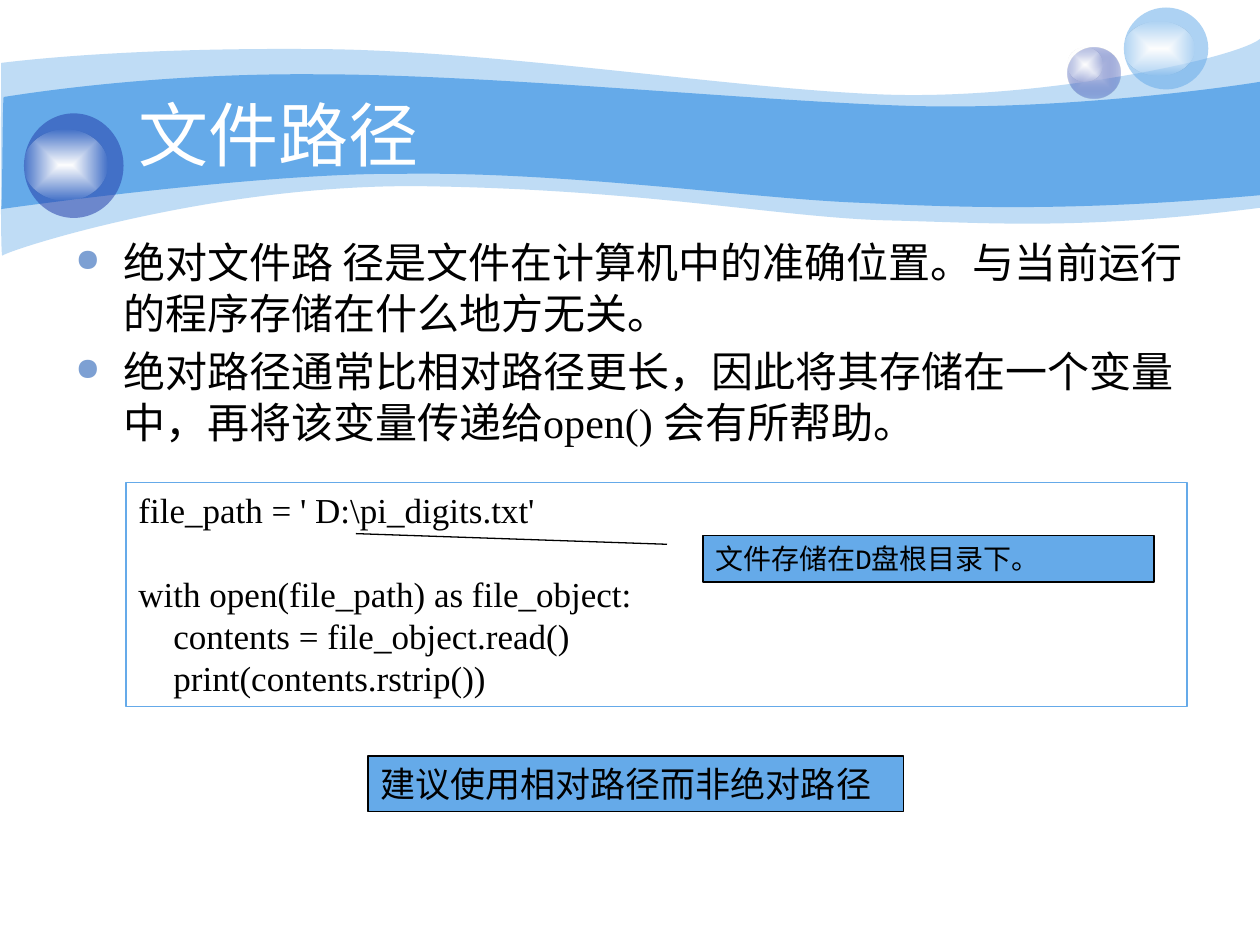
from lxml import etree
from pptx import Presentation
from pptx.dml.color import RGBColor
from pptx.enum.shapes import MSO_SHAPE
from pptx.enum.text import MSO_ANCHOR, MSO_AUTO_SIZE, PP_ALIGN
from pptx.oxml.ns import qn
from pptx.util import Inches, Pt

OVAL, RECT, CALLOUT = MSO_SHAPE.OVAL, MSO_SHAPE.RECTANGLE, MSO_SHAPE.LINE_CALLOUT_1
LEFT, TOP, MIDDLE = PP_ALIGN.LEFT, MSO_ANCHOR.TOP, MSO_ANCHOR.MIDDLE
GROW, FIXED = MSO_AUTO_SIZE.SHAPE_TO_FIT_TEXT, MSO_AUTO_SIZE.NONE
SKY = RGBColor(0x65, 0xAA, 0xE9)
NAVY = RGBColor(0x23, 0x3D, 0xA9)
LILAC = RGBColor(0xC7, 0xCE, 0xE9)
WHITE = RGBColor(0xFF, 0xFF, 0xFF)
BLACK = RGBColor(0, 0, 0)
BULLET = RGBColor(0x7D, 0xA0, 0xD3)
SERIF, MONO = "Times New Roman", "Courier New"

TITLE = "文件路径"
POINTS = [
    "绝对文件路 径是文件在计算机中的准确位置。与当前运行的程序存储在什么地方无关。",
    "绝对路径通常比相对路径更长，因此将其存储在一个变量中，再将该变量传递给open() 会有所帮助。",
]
CODE = [
    "file_path = ' D:\\pi_digits.txt'",
    "with open(file_path) as file_object:",
    "    contents = file_object.read()",
    "    print(contents.rstrip())",
]
CODE_BLOCK_START = 1
NOTE = "文件存储在D盘根目录下。"
ADVICE = "建议使用相对路径而非绝对路径"

WAVES = [
    (41,
     [(0.01, 0.5), (0.25, 0.47), (1.09, 0.38), (2.47, 0.39), (3.86, 0.39), (5.76, 0.7),
      (6.99, 0.75), (8.22, 0.8), (9.8, 0.47), (10, 0.31)],
     [(10, 1.65), (8.58, 1.83), (7.88, 1.77), (7.05, 1.75), (6.22, 1.73), (5.16, 1.51),
      (3.44, 1.48), (1.73, 1.44), (0.05, 1.99), (0.02, 2.03), (0, 2.08), (0.01, 0.75),
      (0.01, 0.5)]),
    (100,
     [(0.03, 0.77), (0.05, 0.77), (1.12, 0.58), (2.5, 0.59), (3.88, 0.59), (5.96, 0.8),
      (7.19, 0.84), (8.42, 0.88), (9.76, 0.69), (10, 0.65)],
     [(10, 1.55), (8.53, 1.68), (7.66, 1.65), (6.83, 1.61), (6, 1.58), (4.48, 1.36),
      (3.19, 1.38), (2.05, 1.37), (0, 1.66), (0.01, 1.66), (0.02, 1.66), (0.02, 0.77),
      (0.03, 0.77)]),
]
GLOW = [(WHITE, 100), (WHITE, 0)]
ORBS = [
    ((8.47, 0.38, 0.42, 0.4), [(LILAC, 100), (NAVY, 31)], (8.47, 0.38, 0.28, 0.27)),
    ((8.92, 0.06, 0.67, 0.65), [(SKY, 53)], (8.92, 0.17, 0.56, 0.43)),
    ((0.19, 0.9, 0.79, 0.83), [(NAVY, 53)], (0.19, 1.03, 0.66, 0.56)),
]


def assign(target, values):
    for name, value in values.items():
        setattr(target, name, value)


def place(shape, area):
    names = ("left", "top", "width", "height")
    assign(shape, dict(zip(names, map(Inches, area))))


def add_preset(shapes, kind, area):
    shape = shapes.add_shape(kind, *map(Inches, area))
    shape.shadow.inherit = False
    return shape


def paint(shape, stops):
    shape.line.fill.background()
    if len(stops) == 1:
        shape.fill.solid()
        shape.fill.fore_color.rgb = stops[0][0]
    else:
        shape.fill.gradient()
        for position, (stop, (color, _)) in enumerate(zip(shape.fill.gradient_stops, stops)):
            stop.position = position
            stop.color.rgb = color
        gradient = shape._element.spPr.find(qn("a:gradFill"))
        linear = gradient.find(qn("a:lin"))
        radial = etree.Element(qn("a:path"), {"path": "shape"})
        etree.SubElement(radial, qn("a:fillToRect"), dict.fromkeys("ltrb", "50000"))
        gradient.replace(linear, radial)
    colors = shape._element.spPr.iter(qn("a:srgbClr"))
    for element, (_, opacity) in zip(list(colors), stops):
        if opacity < 100:
            etree.SubElement(element, qn("a:alpha"), {"val": str(opacity * 1000)})


def bend(segments):
    for start in range(0, len(segments), 3):
        first, *others = segments[start:start + 3]
        curve = etree.Element(qn("a:cubicBezTo"))
        first.addprevious(curve)
        for segment in (first, *others):
            curve.append(segment[0])
            segment.getparent().remove(segment)


def add_wave(page, opacity, upper, lower):
    points = [(Inches(x), Inches(y)) for x, y in upper + lower]
    builder = page.shapes.build_freeform(*points[0], scale=1.0)
    builder.add_line_segments(points[1:], close=True)
    wave = builder.convert_to_shape()
    segments = list(wave._element.spPr.iter(qn("a:lnTo")))
    bend(segments[:len(upper) - 1])
    bend(segments[len(upper):len(upper) + len(lower) - 1])
    wave.shadow.inherit = False
    paint(wave, [(SKY, opacity)])


def add_orb(page, ball, stops, shine):
    group = page.shapes.add_group_shape()
    for area, colors in ((ball, stops), (shine, GLOW)):
        paint(add_preset(group.shapes, OVAL, area), colors)


def add_bullet(para):
    props = para._p.get_or_add_pPr()
    props.set("marL", str(Inches(0.38)))
    props.set("indent", str(-Inches(0.38)))
    color = etree.SubElement(props, qn("a:buClr"))
    etree.SubElement(color, qn("a:srgbClr"), {"val": str(BULLET)})
    etree.SubElement(props, qn("a:buSzPct"), {"val": "75000"})
    etree.SubElement(props, qn("a:buChar"), {"char": "●"})


def write(box, lines, size, font=SERIF, color=BLACK, anchor=TOP, grow=FIXED, bullets=False):
    frame = box.text_frame
    assign(frame, {"word_wrap": True, "auto_size": grow, "vertical_anchor": anchor})
    frame.text = "\n".join(lines)
    for para in frame.paragraphs:
        para.alignment = LEFT
        if bullets:
            add_bullet(para)
        for span in para.runs:
            assign(span.font, {"name": font, "size": Pt(size), "bold": False})
            span.font.color.rgb = color
    return frame.paragraphs


def add_panel(page, kind, area, edge, fill=None):
    panel = add_preset(page.shapes, kind, area)
    if fill is None:
        panel.fill.background()
    else:
        panel.fill.solid()
        panel.fill.fore_color.rgb = fill
    panel.line.color.rgb = edge
    panel.line.width = Pt(0.75)
    return panel


def main():
    deck = Presentation()
    assign(deck, {"slide_width": Inches(10), "slide_height": Inches(7.5)})
    page = deck.slides.add_slide(deck.slide_layouts[5])

    for wave in WAVES:
        add_wave(page, *wave)
    for orb in ORBS:
        add_orb(page, *orb)

    title = page.shapes.title
    page.shapes._spTree.append(title._element)
    place(title, (1, 0.75, 8.08, 0.62))
    write(title, [TITLE], 40, color=WHITE, anchor=MIDDLE)

    body = page.shapes.add_textbox(*map(Inches, (0.5, 1.83, 9, 1.92)))
    paras = write(body, POINTS, 24, bullets=True)
    for para in paras[1:]:
        para.space_before = Pt(4.8)

    code = add_panel(page, RECT, (1, 3.83, 8.42, 1.78), SKY)
    paras = write(code, CODE, 20, grow=GROW)
    for para in paras:
        para.line_spacing = Pt(24)
    paras[CODE_BLOCK_START].space_before = Pt(24)

    note = add_panel(page, CALLOUT, (5.58, 4.25, 3.58, 0.37), BLACK, SKY)
    for index, value in enumerate((0.19, -0.08, -0.04, -0.77)):
        note.adjustments[index] = value
    write(note, [NOTE], 16, font=MONO, grow=GROW)

    advice = add_panel(page, RECT, (2.92, 6, 4.25, 0.44), BLACK, SKY)
    write(advice, [ADVICE], 20, grow=GROW)

    deck.save("out.pptx")


if __name__ == "__main__":
    main()
